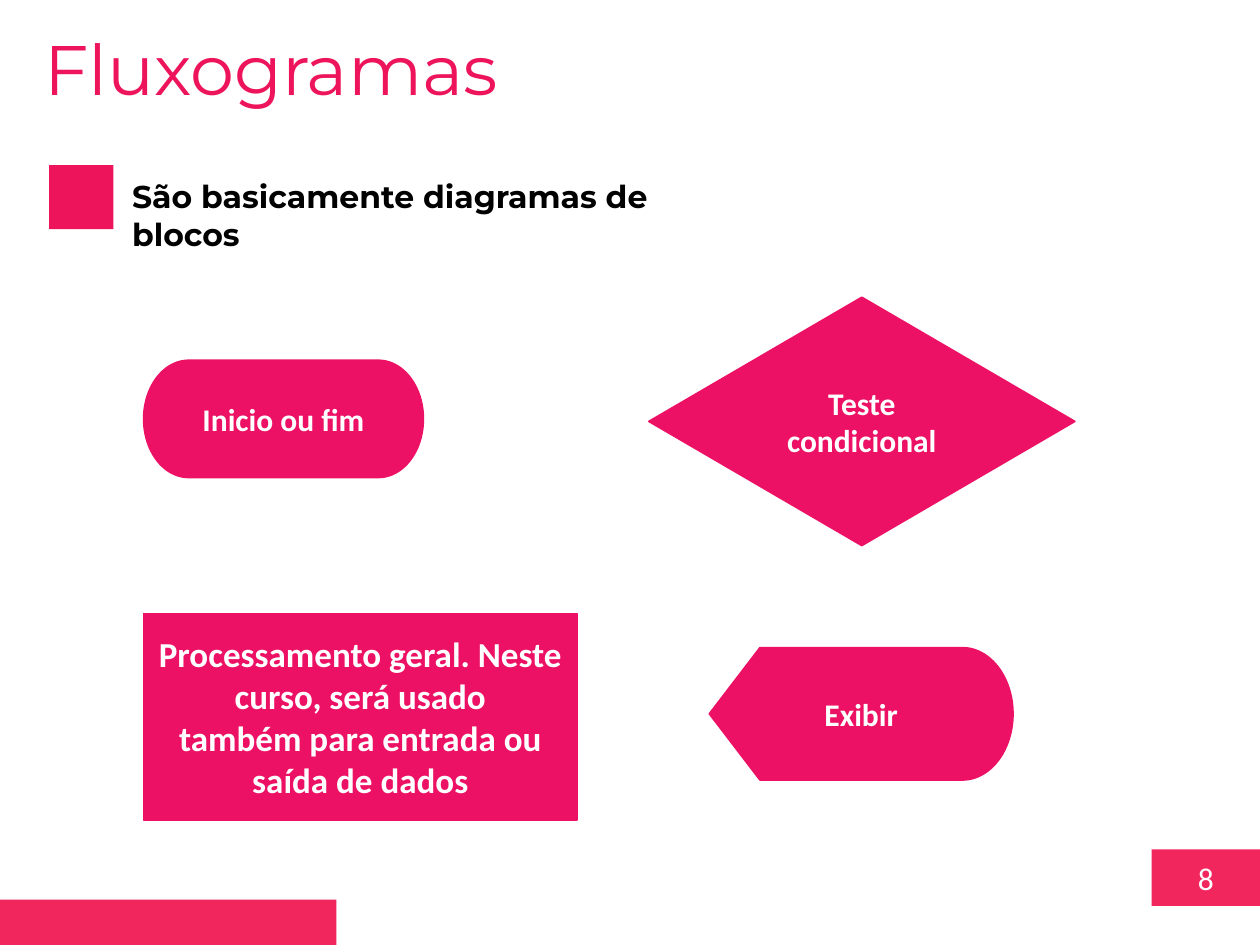
"""Build the slide that presents the basic flowchart blocks."""
from pptx import Presentation
from pptx.dml.color import RGBColor
from pptx.enum.shapes import MSO_SHAPE
from pptx.enum.text import MSO_ANCHOR, MSO_AUTO_SIZE, PP_ALIGN
from pptx.util import Inches, Pt

COLORS = {"footer": "F0265D", "title": "ED145B", "block": "EC1164",
          "text": "000000", "light": "FFFFFF"}


def write(frame, lines, size, color, font="Calibri", bold=False,
          align=PP_ALIGN.CENTER, anchor=MSO_ANCHOR.MIDDLE):
    """Fill a text frame with equally formatted paragraphs."""
    frame.text = "\n".join(lines)
    frame.word_wrap = True
    frame.auto_size = MSO_AUTO_SIZE.NONE
    frame.vertical_anchor = anchor
    for paragraph in frame.paragraphs:
        paragraph.alignment = align
        style = {"name": font, "size": Pt(size), "bold": bold}
        for key, value in style.items():
            setattr(paragraph.font, key, value)
        paragraph.font.color.rgb = RGBColor.from_string(COLORS[color])


def add_block(kind, box, color, outlined=False):
    """Add a flat filled shape, with or without an outline."""
    block = slide.shapes.add_shape(kind, *map(Inches, box))
    block.shadow.inherit = False
    block.fill.solid()
    block.fill.fore_color.rgb = RGBColor.from_string(COLORS[color])
    if outlined:
        block.line.color.rgb = RGBColor.from_string(COLORS[color])
        block.line.width = Pt(1)
    else:
        block.line.fill.background()
    return block


prs = Presentation()
prs.slide_width, prs.slide_height = Inches(10), Inches(7.5)
slide = prs.slides.add_slide(prs.slide_layouts[5])

page_number = add_block(MSO_SHAPE.RECTANGLE, (9.14, 6.74, 0.86, 0.45), "footer")
write(page_number.text_frame, ["8"], 18, "light")
add_block(MSO_SHAPE.RECTANGLE, (0, 7.14, 2.67, 0.36), "footer")

title = slide.shapes.title
title.left, title.top, title.width, title.height = map(Inches, (0.25, 0.15, 7.9, 0.77))
write(title.text_frame, ["Fluxogramas"], 40, "title", "Montserrat",
      align=PP_ALIGN.LEFT, anchor=MSO_ANCHOR.TOP)

add_block(MSO_SHAPE.RECTANGLE, (0.39, 1.31, 0.51, 0.51), "title")
definition = slide.shapes.add_textbox(*map(Inches, (0.95, 1.36, 4.44, 0.4)))
write(definition.text_frame, ["São basicamente diagramas de blocos"], 18, "text",
      "Montserrat", True, PP_ALIGN.LEFT, MSO_ANCHOR.TOP)

flowchart_blocks = [
    (MSO_SHAPE.FLOWCHART_PROCESS, (1.14, 4.87, 3.44, 1.64), 20,
     ["Processamento geral. Neste curso, será usado",
      "também para entrada ou saída de dados"]),
    (MSO_SHAPE.FLOWCHART_DECISION, (5.15, 2.36, 3.38, 1.97), 18, ["Teste condicional"]),
    (MSO_SHAPE.FLOWCHART_TERMINATOR, (1.14, 2.86, 2.22, 0.93), 18, ["Inicio ou fim"]),
    (MSO_SHAPE.FLOWCHART_DISPLAY, (5.63, 5.14, 2.41, 1.05), 18, ["Exibir"]),
]
for kind, box, size, lines in flowchart_blocks:
    block = add_block(kind, box, "block", outlined=True)
    write(block.text_frame, lines, size, "light", bold=True)

prs.save("out.pptx")
